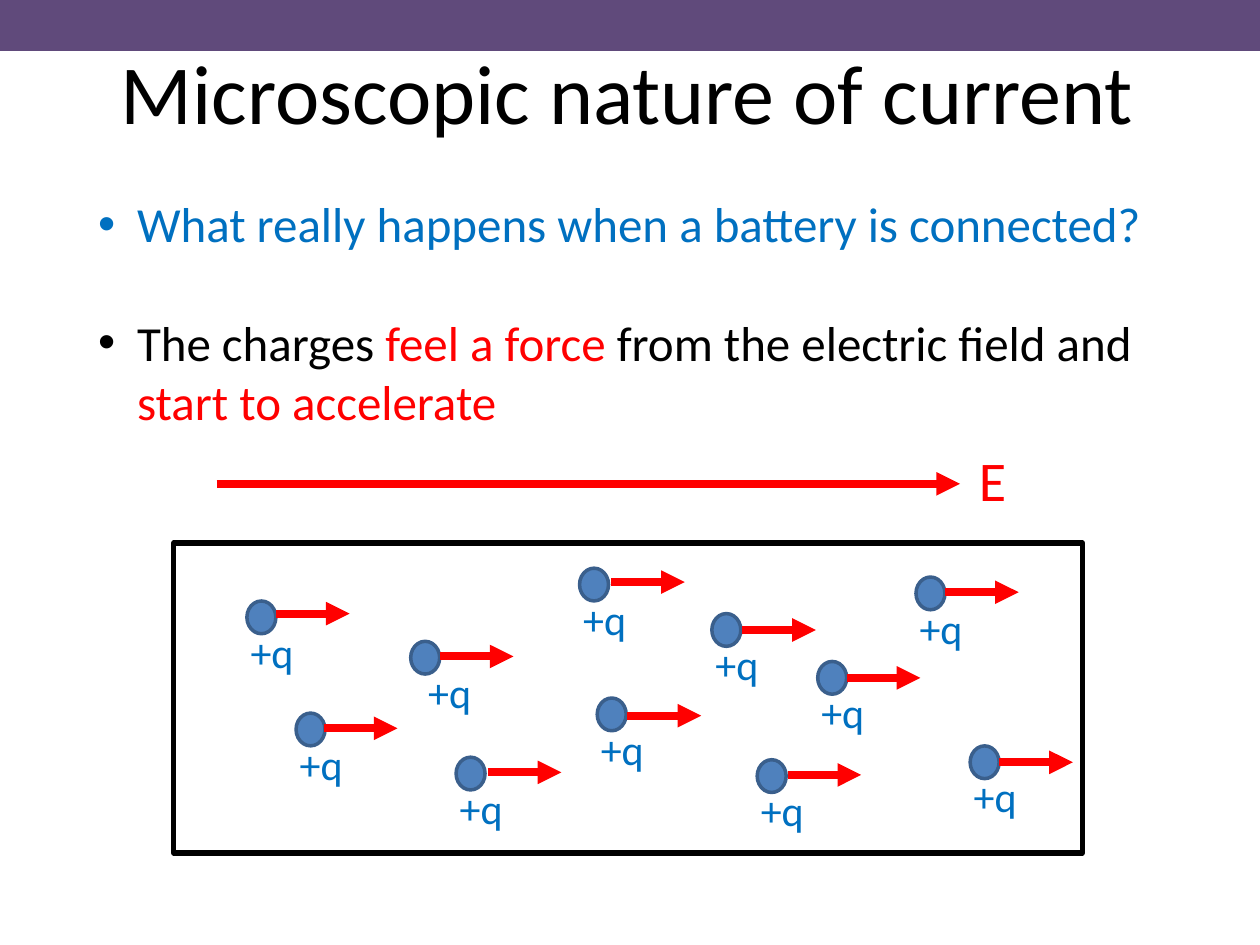
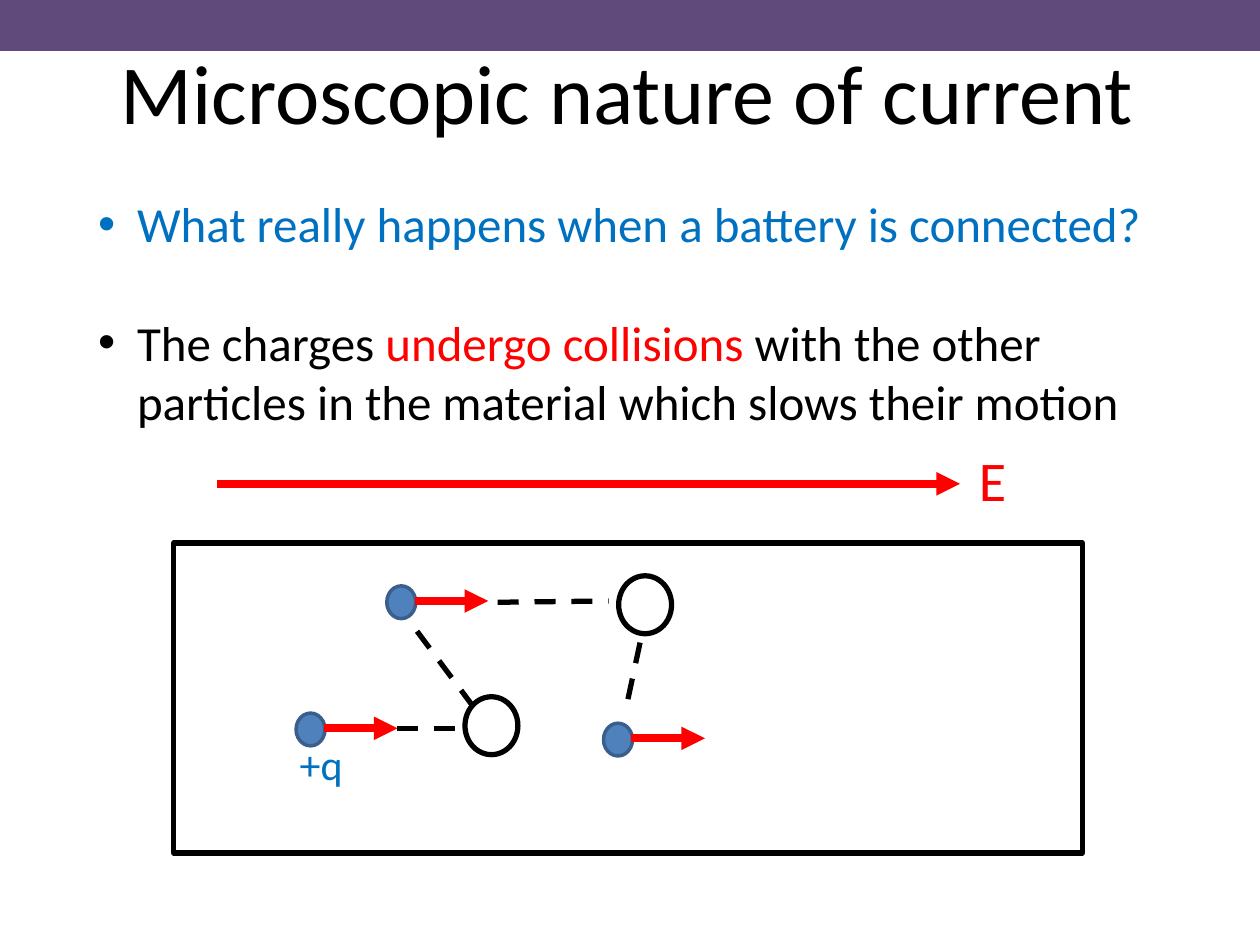
import pptx
import pptx.util
import pptx.dml.color
import pptx.enum.dml
import pptx.enum.shapes
import pptx.enum.text
import pptx.oxml.ns
from lxml import etree

Inches, Pt = pptx.util.Inches, pptx.util.Pt
RECTANGLE = pptx.enum.shapes.MSO_SHAPE.RECTANGLE
OVAL = pptx.enum.shapes.MSO_SHAPE.OVAL
CENTER, LEFT = pptx.enum.text.PP_ALIGN.CENTER, pptx.enum.text.PP_ALIGN.LEFT
MIDDLE, TOP = pptx.enum.text.MSO_ANCHOR.MIDDLE, pptx.enum.text.MSO_ANCHOR.TOP
qn = pptx.oxml.ns.qn

PURPLE, BLACK, RED, BLUE = "604A7B", "000000", "FF0000", "0070C0"
CHARGE_FILL, CHARGE_EDGE = "4F81BD", "3A5F8C"
FONT = "Calibri"
ARROW_LENGTH = 0.585


def paint(color_format, hex_color):
    color_format.rgb = pptx.dml.color.RGBColor.from_string(hex_color)


def draw_line(slide, start, end, color, width, dashed=False):
    line = slide.shapes.add_connector(
        pptx.enum.shapes.MSO_CONNECTOR.STRAIGHT,
        *(Inches(value) for value in (*start, *end)))
    paint(line.line.color, color)
    line.line.width = Pt(width)
    properties = line._element.spPr
    if dashed:
        line.line.dash_style = pptx.enum.dml.MSO_LINE.DASH
    else:
        etree.SubElement(properties.find(qn("a:ln")), qn("a:tailEnd"), type="triangle")
    etree.SubElement(properties, qn("a:effectLst"))


question = [("What really happens when a battery is connected?", BLUE)]

# Each charge: left, top, arrow start x, arrow y, label offset (None for no label)
scenes = [
    {
        "answer": [("The charges ", BLACK), ("feel a force ", RED),
                   ("from the electric field and ", BLACK), ("start to accelerate", RED)],
        "charges": [
            (1.96, 4.77, 2.19, 4.87, -0.07), (2.35, 5.66, 2.57, 5.78, -0.07),
            (3.26, 5.09, 3.49, 5.21, 0.04), (3.62, 6.01, 3.87, 6.13, -0.07),
            (4.6, 4.51, 4.85, 4.62, -0.07), (5.65, 4.87, 5.89, 5, -0.07),
            (4.74, 5.54, 4.98, 5.68, -0.07), (6.01, 6.03, 6.25, 6.15, -0.07),
            (7.27, 4.58, 7.5, 4.7, -0.07), (7.7, 5.92, 7.93, 6.05, -0.07),
            (6.49, 5.25, 6.72, 5.38, -0.07)],
        "particles": [],
        "paths": [],
    },
    {
        "answer": [("The charges ", BLACK), ("undergo collisions", RED),
                   (" with the other particles in the material which slows their motion", BLACK)],
        "charges": [
            (2.35, 5.66, 2.57, 5.78, -0.07), (3.07, 4.65, 3.29, 4.77, None),
            (4.79, 5.74, 5.01, 5.86, None)],
        "particles": [(3.69, 5.53), (4.91, 4.57)],
        "paths": [((3.15, 5.78), (3.63, 5.78)), ((3.31, 5.01), (3.75, 5.6)),
                  ((3.95, 4.78), (4.83, 4.77)), ((5.08, 5.1), (4.96, 5.66))],
    },
]

deck = pptx.Presentation()
deck.slide_width, deck.slide_height = Inches(10), Inches(7.5)

for scene in scenes:
    slide = deck.slides.add_slide(deck.slide_layouts[6])

    outlines = [(RECTANGLE, (0, 0, 10, 0.39), PURPLE, PURPLE, 2),
                (RECTANGLE, (1.38, 4.31, 7.21, 2.46), None, BLACK, 3)]
    outlines += [(OVAL, (left, top, 0.23, 0.26), CHARGE_FILL, CHARGE_EDGE, 2)
                 for left, top, *_ in scene["charges"]]
    outlines += [(OVAL, (left, top, 0.42, 0.46), None, BLACK, 3)
                 for left, top in scene["particles"]]
    for kind, box, fill, edge, width in outlines:
        body = slide.shapes.add_shape(kind, *map(Inches, box))
        body.shadow.inherit = False
        if fill:
            body.fill.solid()
            paint(body.fill.fore_color, fill)
        else:
            body.fill.background()
        paint(body.line.color, edge)
        body.line.width = Pt(width)

    labels = [("Microscopic nature of current", (0, 0.3, 9.96, 0.84), 48, BLACK, CENTER, MIDDLE),
              ("E", (7.67, 3.49, 0.48, 0.64), 32, RED, LEFT, TOP)]
    labels += [("+q", (left + offset, top + 0.15, 0.63, 0.5), 24, BLUE, LEFT, TOP)
               for left, top, _, _, offset in scene["charges"] if offset is not None]
    for wording, box, size, color, alignment, anchor in labels:
        frame = slide.shapes.add_textbox(*map(Inches, box)).text_frame
        frame.word_wrap = True
        frame.vertical_anchor = anchor
        frame.text = wording
        label = frame.paragraphs[0]
        label.alignment = alignment
        label.font.name, label.font.size = FONT, Pt(size)
        paint(label.font.color, color)

    explanation = slide.shapes.add_textbox(*map(Inches, (0.68, 1.49, 8.56, 1.99))).text_frame
    explanation.word_wrap = True
    for index, pieces in enumerate((question, scene["answer"])):
        point = explanation.add_paragraph() if index else explanation.paragraphs[0]
        if index:
            point.space_before = Pt(34)
        indents = point._p.get_or_add_pPr()
        indents.set("marL", str(Inches(0.31)))
        indents.set("indent", str(Inches(-0.31)))
        etree.SubElement(indents, qn("a:buFont"), typeface="Arial")
        etree.SubElement(indents, qn("a:buChar"), char="•")
        for wording, color in pieces:
            run = point.add_run()
            run.text = wording
            run.font.name, run.font.size = FONT, Pt(28)
            paint(run.font.color, color)

    draw_line(slide, (1.72, 3.84), (7.62, 3.84), RED, 4.5)
    for _, _, start, height, _ in scene["charges"]:
        draw_line(slide, (start, height), (start + ARROW_LENGTH, height), RED, 4.5)
    for start, end in scene["paths"]:
        draw_line(slide, start, end, BLACK, 3, dashed=True)

deck.save("out.pptx")
